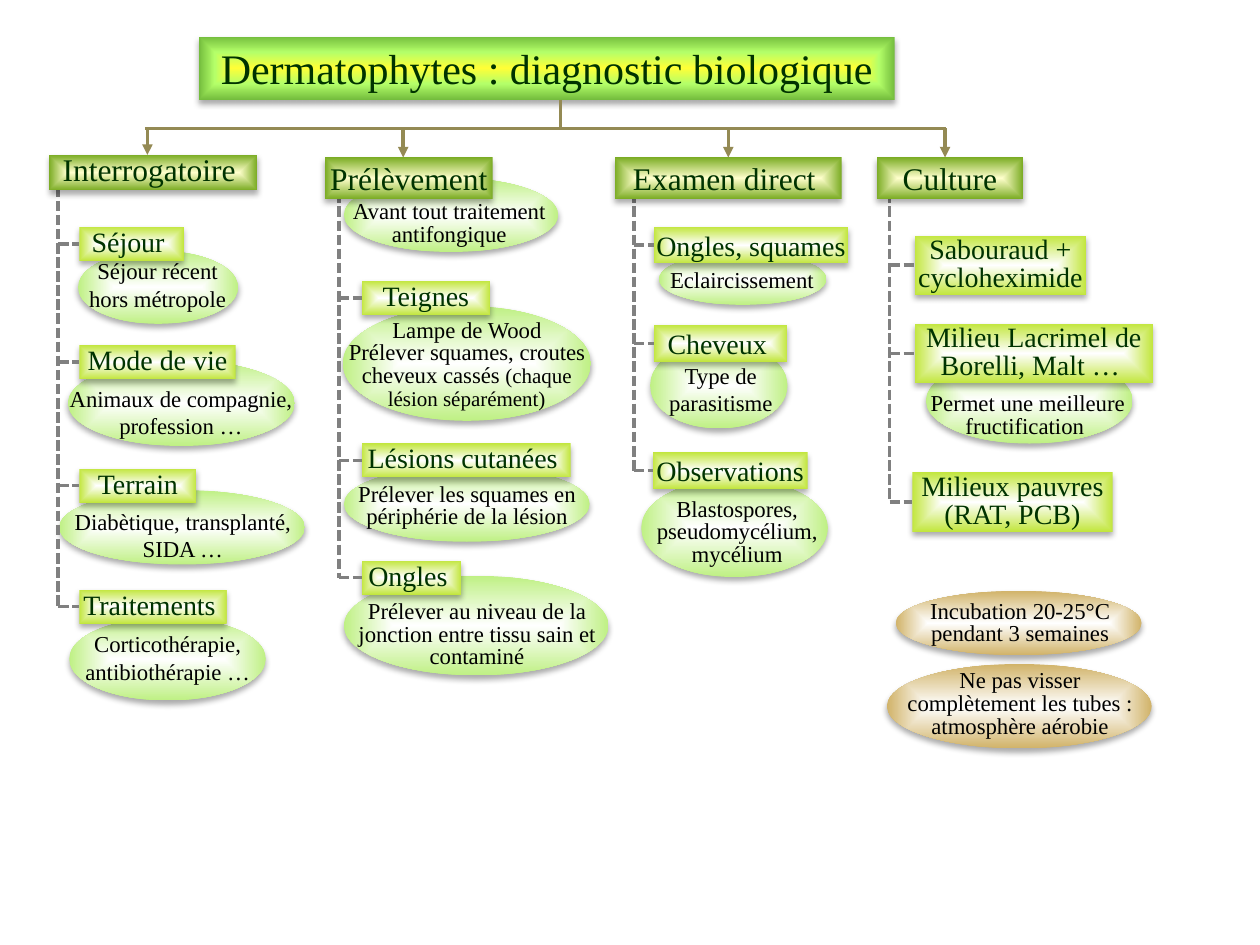
from lxml import etree
from pptx import Presentation
from pptx.dml.color import RGBColor
from pptx.enum.dml import MSO_LINE
from pptx.enum.shapes import MSO_CONNECTOR, MSO_SHAPE
from pptx.enum.text import MSO_ANCHOR, MSO_AUTO_SIZE, PP_ALIGN
from pptx.oxml import parse_xml
from pptx.oxml.ns import nsdecls, qn
from pptx.util import Inches, Pt

RECT, OVAL = MSO_SHAPE.RECTANGLE, MSO_SHAPE.OVAL
STRAIGHT = MSO_CONNECTOR.STRAIGHT
DASH = MSO_LINE.SQUARE_DOT
CENTER, TOP = PP_ALIGN.CENTER, MSO_ANCHOR.TOP
GROW, FIXED = MSO_AUTO_SIZE.SHAPE_TO_FIT_TEXT, MSO_AUTO_SIZE.NONE

WHITE = RGBColor(0xFF, 0xFF, 0xFF)
BLACK = RGBColor(0, 0, 0)
DARK_GREEN = RGBColor(0x00, 0x33, 0x00)
GRAY = RGBColor(0x80, 0x80, 0x80)
KHAKI = RGBColor(0x94, 0x8A, 0x54)
TITLE_GRADIENT = [(0, RGBColor(0xFF, 0xFF, 0x37)), (50, RGBColor(0xB4, 0xFF, 0x69)),
                  (100, RGBColor(0x74, 0xBD, 0x3D))]
HEADER_GRADIENT = [(0, RGBColor(0xFF, 0xFF, 0xCC)), (100, RGBColor(0x7B, 0xAC, 0x24))]
LABEL_GRADIENT = [(0, WHITE), (100, RGBColor(0xC2, 0xE6, 0x3E))]
NOTE_GRADIENT = [(0, WHITE), (100, RGBColor(0xBF, 0xF0, 0x84))]
TAN_GRADIENT = [(0, WHITE), (100, RGBColor(0xD1, 0xB3, 0x69))]

BAR_Y = 1.02

# Column: header, its box, its line spacing, trunk x, arrow x, label spacing, labels
COLUMNS = [
    ("Interrogatoire ", (0.39, 1.23, 1.65, 0.28), 0.85, 0.46, 1.17, 0.9, [
        ("Séjour ", (0.63, 1.8, 0.83, 0.27)),
        ("Mode de vie", (0.63, 2.74, 1.24, 0.27)),
        ("Terrain", (0.63, 3.72, 0.93, 0.27)),
        ("Traitements ", (0.63, 4.68, 1.17, 0.27))]),
    ("Prélèvement ", (2.58, 1.25, 1.33, 0.33), 1.0, 2.69, 3.2, 0.9, [
        ("Teignes", (2.87, 2.23, 1.02, 0.27)),
        ("Lésions cutanées ", (2.87, 3.52, 1.66, 0.27)),
        ("Ongles ", (2.87, 4.45, 0.79, 0.27))]),
    ("Examen direct ", (4.88, 1.25, 1.8, 0.33), 1.0, 5.03, 5.78, 1.0, [
        ("Ongles, squames", (5.19, 1.8, 1.54, 0.29)),
        ("Cheveux ", (5.19, 2.58, 1.06, 0.29)),
        ("Observations ", (5.18, 3.59, 1.23, 0.29))]),
    ("Culture", (6.96, 1.25, 1.16, 0.33), 1.0, 7.06, 7.5, Pt(16), [
        ("Sabouraud + cycloheximide", (7.26, 1.87, 1.36, 0.47)),
        ("Milieu Lacrimel de Borelli, Malt … ", (7.26, 2.57, 1.89, 0.47)),
        ("Milieux pauvres (RAT, PCB)", (7.24, 3.75, 1.59, 0.47))]),
]

# Note: paragraphs of (text, size) runs, text box, line spacing, ellipse, gradient
NOTES = [
    ([[("Séjour récent hors métropole", 13)]],
     (0.62, 2.04, 1.26, 0.43), 1.0, (0.62, 1.99, 1.27, 0.58), NOTE_GRADIENT),
    ([[("Animaux de compagnie, profession …", 13)]],
     (0.45, 3.05, 1.97, 0.43), 1.0, (0.54, 2.86, 1.8, 0.68), NOTE_GRADIENT),
    ([[("Diabètique, transplanté, SIDA …", 13)]],
     (0.52, 4.03, 1.86, 0.43), 1.0, (0.47, 3.89, 1.95, 0.59), NOTE_GRADIENT),
    ([[("Corticothérapie, antibiothérapie …", 13)]],
     (0.58, 5, 1.5, 0.43), 1.0, (0.55, 4.9, 1.56, 0.66), NOTE_GRADIENT),
    ([[("Avant tout traitement antifongique", 13)]],
     (2.78, 1.6, 1.57, 0.36), Pt(13), (2.73, 1.41, 1.7, 0.59), NOTE_GRADIENT),
    ([[("Lampe de Wood", 13)],
      [("Prélever squames, croutes cheveux cassés ", 13), ("(chaque lésion séparément)", 12)]],
     (2.76, 2.54, 1.89, 0.73), Pt(13), (2.72, 2.43, 1.97, 0.91), NOTE_GRADIENT),
    ([[("Prélever les squames en périphérie de la lésion", 13)]],
     (2.84, 3.84, 1.73, 0.36), Pt(13), (2.73, 3.7, 1.95, 0.6), NOTE_GRADIENT),
    ([[("Prélever au niveau de la jonction entre tissu sain et contaminé", 13)]],
     (2.72, 4.77, 2.13, 0.55), Pt(13), (2.73, 4.57, 2.1, 0.79), NOTE_GRADIENT),
    ([[("Eclaircissement ", 13)]],
     (5.25, 2.11, 1.32, 0.22), 1.0, (5.23, 2.01, 1.33, 0.41), NOTE_GRADIENT),
    ([[("Type de parasitisme", 13)]],
     (5.21, 2.87, 1.02, 0.44), 1.0, (5.16, 2.72, 1.09, 0.68), NOTE_GRADIENT),
    ([[("Blastospores, pseudomycélium, mycélium", 13)]],
     (5.1, 3.96, 1.5, 0.55), Pt(13), (5.09, 3.8, 1.48, 0.78), NOTE_GRADIENT),
    ([[("Permet une meilleure fructification ", 13)]],
     (7.25, 3.12, 1.81, 0.36), Pt(13), (7.35, 2.84, 1.64, 0.68), NOTE_GRADIENT),
    ([[("Incubation 20-25°C pendant 3 semaines", 13)]],
     (7.11, 4.77, 1.97, 0.36), Pt(13), (7.11, 4.69, 1.95, 0.51), TAN_GRADIENT),
    ([[("Ne pas visser complètement les tubes : atmosphère aérobie", 13)]],
     (7.11, 5.32, 1.97, 0.55), Pt(13), (7.04, 5.27, 2.1, 0.67), TAN_GRADIENT),
]


def style(sp, gradient=None, paragraphs=(), color=DARK_GREEN, spacing=1.0, inset=0.01):
    """Give a shape its gradient with soft shadow, and its centred text."""
    if gradient:
        sp.fill.background()
        sp.line.fill.background()
        sp.shadow.inherit = False
        stops = "".join(f'<a:gs pos="{pos * 1000}"><a:srgbClr val="{rgb}"/></a:gs>'
                        for pos, rgb in gradient)
        props = sp._element.spPr
        props.replace(props.find(qn("a:noFill")), parse_xml(
            f'<a:gradFill {nsdecls("a")} rotWithShape="1"><a:gsLst>{stops}</a:gsLst>'
            '<a:path path="shape"><a:fillToRect l="50000" t="50000" r="50000" b="50000"/>'
            '</a:path></a:gradFill>'))
        props.find(qn("a:effectLst")).append(parse_xml(
            f'<a:outerShdw {nsdecls("a")} blurRad="44450" dist="27940" dir="5400000" '
            'rotWithShape="0"><a:srgbClr val="000000"><a:alpha val="32000"/></a:srgbClr>'
            '</a:outerShdw>'))
    if not paragraphs:
        return
    tf = sp.text_frame
    tf.word_wrap, tf.auto_size, tf.vertical_anchor = True, GROW, TOP
    if inset is not None:
        tf.margin_left = tf.margin_top = tf.margin_right = tf.margin_bottom = Inches(inset)
    for i, runs in enumerate(paragraphs):
        p = tf.add_paragraph() if i else tf.paragraphs[0]
        p.alignment, p.line_spacing = CENTER, spacing
        p.font.name, p.font.color.rgb, p.font.size = "Times New Roman", color, Pt(runs[0][1])
        for text, size in runs:
            r = p.add_run()
            r.text = text
            if size != runs[0][1]:
                r.font.size = Pt(size)


def add_line(x1, y1, x2, y2, color=KHAKI, arrow=False):
    """Draw a 2 pt line: dashed when gray, with an arrowhead on request."""
    line = slide.shapes.add_connector(STRAIGHT, Inches(x1), Inches(y1), Inches(x2), Inches(y2))
    line.line.color.rgb, line.line.width = color, Pt(2)
    if color == GRAY:
        line.line.dash_style = DASH
    if arrow:
        etree.SubElement(line.line._get_or_add_ln(), qn("a:tailEnd"), type="triangle")
    etree.SubElement(line._element.spPr, qn("a:effectLst"))
    return line


prs = Presentation()
prs.slide_width, prs.slide_height = Inches(10), Inches(7.5)
slide = prs.slides.add_slide(prs.slide_layouts[5])

# Title
title = slide.shapes.title
title.left, title.top, title.width, title.height = map(Inches, (1.58, 0.29, 5.52, 0.5))
style(title, TITLE_GRADIENT, [[("Dermatophytes : diagnostic biologique", 24)]], inset=None)
title.text_frame.auto_size = FIXED

# Ellipses behind the notes
for _, _, _, oval, gradient in NOTES:
    style(slide.shapes.add_shape(OVAL, *map(Inches, oval)), gradient)

# Stem and bar under the title
add_line(4.45, 0.79, 4.45, BAR_Y)
add_line(1.15, BAR_Y, 7.51, BAR_Y)

# Columns: trunk, header with its arrow, labels with their branches
for header, box, spacing, trunk_x, arrow_x, label_spacing, labels in COLUMNS:
    left, top, width, height = box
    last_top, last_height = labels[-1][1][1], labels[-1][1][3]
    add_line(trunk_x, top + height / 2, trunk_x, last_top + last_height / 2, GRAY)
    sp = slide.shapes.add_shape(RECT, *map(Inches, box))
    style(sp, HEADER_GRADIENT, [[(header, 18)]], spacing=spacing)
    arrow = add_line(arrow_x, BAR_Y, arrow_x, top, arrow=True)
    if abs(arrow_x - left - width / 2) < 0.01:
        arrow.end_connect(sp, 0)
    for label, (x, y, w, h) in labels:
        sp = slide.shapes.add_shape(RECT, *map(Inches, (x, y, w, h)))
        style(sp, LABEL_GRADIENT, [[(label, 16)]], spacing=label_spacing)
        add_line(trunk_x, y + h / 2, x, y + h / 2, GRAY).end_connect(sp, 1)

# Note texts
for paragraphs, box, spacing, _, _ in NOTES:
    style(slide.shapes.add_textbox(*map(Inches, box)), None, paragraphs, BLACK, spacing, 0)

prs.save("out.pptx")
